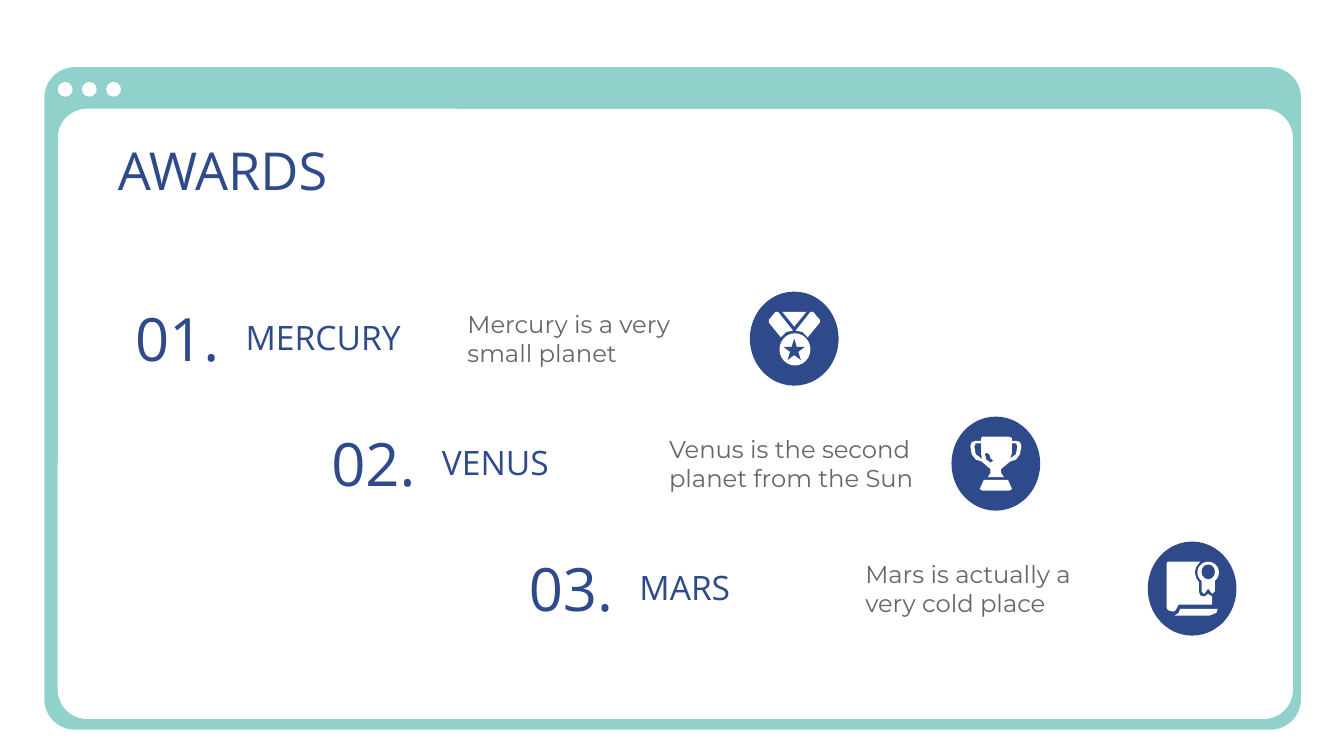
from pptx import Presentation
from pptx.dml.color import RGBColor
from pptx.enum.shapes import MSO_SHAPE
from pptx.enum.text import MSO_ANCHOR, PP_ALIGN
from pptx.util import Cm, Pt

NAVY = RGBColor(0x2F, 0x4A, 0x8A)
MINT = RGBColor(0x90, 0xD1, 0xCB)
GRAY = RGBColor(0x66, 0x66, 0x66)
WHITE = RGBColor(0xFF, 0xFF, 0xFF)
ICON_W, ICON_H = 0.66, 0.7

OVAL, STAR = MSO_SHAPE.OVAL, MSO_SHAPE.STAR_5_POINT


def mirrored(points):
    return [(ICON_W - x, y) for x, y in points]


ribbon = [(0.45, 0.15), (0.34, 0.29), (0.39, 0.3), (0.43, 0.34),
          (0.52, 0.23), (0.52, 0.21), (0.47, 0.15)]
handle = [(0.22, 0.18), (0.18, 0.18), (0.15, 0.19), (0.14, 0.22), (0.15, 0.28),
          (0.18, 0.32), (0.24, 0.34), (0.22, 0.31), (0.18, 0.28), (0.17, 0.22),
          (0.18, 0.2), (0.22, 0.2)]
cup = [(0.23, 0.15), (0.43, 0.15), (0.45, 0.16), (0.45, 0.27), (0.43, 0.34),
       (0.37, 0.39), (0.37, 0.42), (0.39, 0.45), (0.27, 0.45), (0.29, 0.42),
       (0.29, 0.39), (0.23, 0.34), (0.22, 0.27), (0.22, 0.16)]
glint = [(0.26, 0.27), (0.28, 0.28), (0.29, 0.31), (0.31, 0.33), (0.29, 0.34),
         (0.26, 0.32), (0.25, 0.28)]
base = [(0.24, 0.47), (0.42, 0.47), (0.45, 0.54), (0.43, 0.55), (0.23, 0.55), (0.21, 0.54)]
paper = [(0.15, 0.15), (0.39, 0.15), (0.36, 0.19), (0.35, 0.23), (0.36, 0.27),
         (0.38, 0.3), (0.38, 0.37), (0.39, 0.4), (0.42, 0.41), (0.45, 0.39),
         (0.48, 0.41), (0.48, 0.47), (0.23, 0.47), (0.22, 0.49), (0.2, 0.52),
         (0.18, 0.52), (0.15, 0.51), (0.14, 0.49), (0.14, 0.16)]
curl = [(0.2, 0.55), (0.23, 0.53), (0.24, 0.5), (0.52, 0.5), (0.51, 0.53), (0.46, 0.55)]
tails = [(0.4, 0.28), (0.5, 0.28), (0.5, 0.37), (0.48, 0.39), (0.45, 0.35),
         (0.42, 0.39), (0.4, 0.37)]

medal = [(ribbon, WHITE), (mirrored(ribbon), WHITE),
         ([(0.24, 0.15), (0.33, 0.26), (0.42, 0.15)], WHITE),
         ((OVAL, 0.22, 0.31, 0.23, 0.24), WHITE),
         ((STAR, 0.25, 0.35, 0.16, 0.16), NAVY)]
trophy = [(handle, WHITE), (mirrored(handle), WHITE), (cup, WHITE),
          (glint, NAVY), (base, WHITE)]
diploma = [(paper, WHITE), (curl, WHITE), (tails, WHITE),
           ((OVAL, 0.37, 0.15, 0.16, 0.16), WHITE),
           ((OVAL, 0.4, 0.17, 0.1, 0.11), NAVY)]

awards = [
    ("01.", "MERCURY", "Mercury is a very small planet", 0.74, 3.38, medal),
    ("02.", "VENUS", "Venus is the second planet from the Sun", 2.2, 4.88, trophy),
    ("03.", "MARS", "Mars is actually a very cold place", 3.67, 6.34, diploma),
]

presentation = Presentation()
presentation.slide_width = Cm(25.4)
presentation.slide_height = presentation.slide_width * 9 // 16
slide = presentation.slides.add_slide(presentation.slide_layouts[6])


def inch(value):
    return Cm(value * 2.54)


def paint(shape, color):
    shape.shadow.inherit = False
    shape.fill.solid()
    shape.fill.fore_color.rgb = color
    shape.line.fill.background()
    return shape


def add_preset(preset, left, top, width, height, color):
    box = map(inch, (left, top, width, height))
    return paint(slide.shapes.add_shape(preset, *box), color)


def add_outline(points, left, top, color):
    corners = [(inch(left + x), inch(top + y)) for x, y in points]
    builder = slide.shapes.build_freeform(*corners[0], scale=1.0)
    builder.add_line_segments(corners[1:], close=True)
    paint(builder.convert_to_shape(), color)


def add_text(text, left, top, width, size, font="Open Sans", color=NAVY,
             align=PP_ALIGN.LEFT, anchor=MSO_ANCHOR.TOP):
    frame = slide.shapes.add_textbox(*map(inch, (left, top, width, 0.51))).text_frame
    frame.word_wrap = True
    frame.vertical_anchor = anchor
    frame.margin_left = frame.margin_right = inch(0.1)
    frame.margin_top = frame.margin_bottom = inch(0.1)
    paragraph = frame.paragraphs[0]
    paragraph.alignment = align
    run = paragraph.add_run()
    run.text = text
    run.font.name, run.font.size = font, Pt(size)
    run.font.color.rgb = color


def add_icon(parts, left, top):
    add_preset(OVAL, left, top, ICON_W, ICON_H, NAVY)
    for part, color in parts:
        if isinstance(part, list):
            add_outline(part, left, top, color)
        else:
            preset, x, y, width, height = part
            add_preset(preset, left + x, top + y, width, height, color)


window = add_preset(MSO_SHAPE.ROUNDED_RECTANGLE, 0.33, 0.5, 9.35, 4.93, MINT)
window.adjustments[0] = 0.046
page = add_preset(MSO_SHAPE.ROUNDED_RECTANGLE, 0.43, 0.81, 9.19, 4.54, WHITE)
page.adjustments[0] = 0.048
for index in range(3):
    add_preset(OVAL, 0.43 + 0.18 * index, 0.61, 0.11, 0.11, WHITE)

add_text("AWARDS", 0.78, 0.93, 8.44, 28)
for index, (number, planet, fact, number_left, fact_left, icon) in enumerate(awards):
    top = 2.26 + 0.93 * index
    add_text(number, number_left, top, 0.99, 32,
             align=PP_ALIGN.RIGHT, anchor=MSO_ANCHOR.MIDDLE)
    add_text(planet, number_left + 0.99, top, 1.46, 18)
    add_text(fact, fact_left, top, 2.12, 13, font="Montserrat", color=GRAY,
             anchor=MSO_ANCHOR.MIDDLE)
    add_icon(icon, fact_left + 2.2, top - 0.09)

presentation.save("out.pptx")
